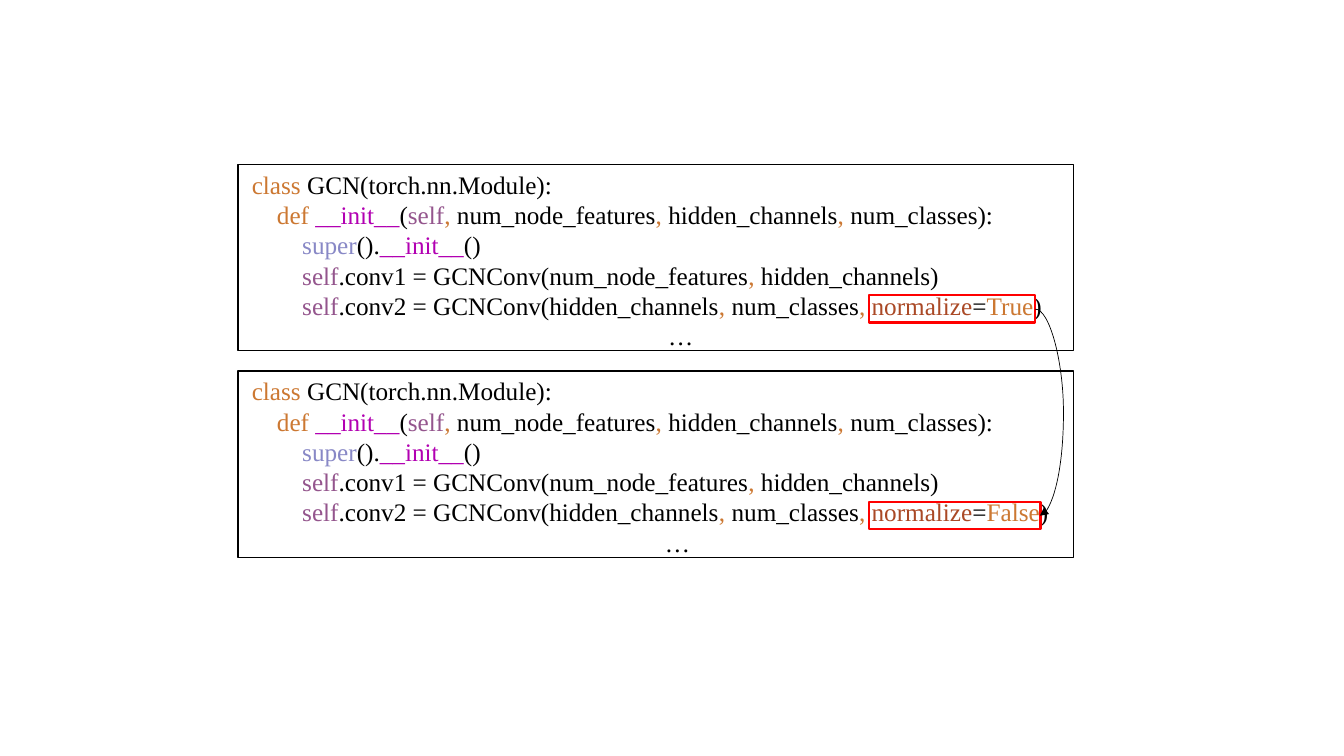
import lxml.etree
import pptx
import pptx.dml.color
import pptx.enum.shapes
import pptx.enum.text
import pptx.oxml.ns
import pptx.util

COLORS = {
    "black": "000000",
    "red": "FF0000",
    "keyword": "CC7832",
    "method": "B200B2",
    "self": "94558D",
    "builtin": "8888C6",
    "argument": "AA4926",
}
COLUMNS, ROWS = 160, 90
PANEL_TOP, PANEL_PITCH = 19.55, 24.6
COMMA = (", ", "keyword")
SELF = ("self", "self")
INIT = ("__init__", "method")
NODE_FEATURES = ("num_node_features", "black")


class CodeSlide:
    """Draw code panels on one slide, with lengths in grid columns and rows."""

    def __init__(self, presentation):
        self.font = "Times New Roman"
        self.size = pptx.util.Pt(18)
        self.indent = pptx.util.Inches(0.25)
        self.column = presentation.slide_width / COLUMNS
        self.row = presentation.slide_height / ROWS
        self.slide = presentation.slides.add_slide(presentation.slide_layouts[6])

    def place(self, left, top, width, height):
        return (round(left * self.column), round(top * self.row),
                round(width * self.column), round(height * self.row))

    def color(self, name):
        return pptx.dml.color.RGBColor.from_string(COLORS[name])

    def code(self, left, top, width, height, lines):
        frame = self.slide.shapes.add_textbox(*self.place(left, top, width, height)).text_frame
        frame.word_wrap = True
        for number, (level, runs) in enumerate(lines):
            paragraph = frame.add_paragraph() if number else frame.paragraphs[0]
            if level is None:
                paragraph.alignment = pptx.enum.text.PP_ALIGN.CENTER
            else:
                properties = paragraph._p.get_or_add_pPr()
                properties.set("marL", str(level * self.indent))
                properties.set("indent", "0")
            for text, color in runs:
                run = paragraph.add_run()
                run.text = text
                run.font.name = self.font
                run.font.size = self.size
                run.font.color.rgb = self.color(color)

    def outline(self, left, top, width, height, color, weight):
        shape = self.slide.shapes.add_shape(
            pptx.enum.shapes.MSO_SHAPE.RECTANGLE, *self.place(left, top, width, height))
        shape.shadow.inherit = False
        shape.fill.background()
        shape.line.color.rgb = self.color(color)
        shape.line.width = pptx.util.Pt(weight)

    def curved_arrow(self, start, end, bend, color, weight):
        connector = self.slide.shapes.add_connector(
            pptx.enum.shapes.MSO_CONNECTOR.CURVE, *self.place(*start, *end))
        connector.line.color.rgb = self.color(color)
        connector.line.width = pptx.util.Pt(weight)
        qn = pptx.oxml.ns.qn
        properties = connector._element.spPr
        guides = properties.find(qn("a:prstGeom")).get_or_add_avLst()
        lxml.etree.SubElement(guides, qn("a:gd"), name="adj1", fmla=f"val {round(bend * 100000)}")
        lxml.etree.SubElement(connector.line._get_or_add_ln(), qn("a:tailEnd"), type="triangle")
        lxml.etree.SubElement(properties, qn("a:effectLst"))


def gcn_lines(normalize):
    return [
        (0, [("class ", "keyword"), ("GCN(torch.nn.Module):", "black")]),
        (1, [("def ", "keyword"), INIT, ("(", "black"), SELF, COMMA, NODE_FEATURES, COMMA,
             ("hidden_channels", "black"), COMMA, ("num_classes):", "black")]),
        (2, [("super", "builtin"), ("().", "black"), INIT, ("()", "black")]),
        (2, [SELF, (".conv1 = GCNConv(", "black"), NODE_FEATURES, COMMA,
             ("hidden_channels)", "black")]),
        (2, [SELF, (".conv2 = GCNConv(hidden_channels", "black"), COMMA,
             ("num_classes", "black"), COMMA, ("normalize", "argument"), ("=", "black"),
             (normalize, "keyword"), (")", "black")]),
        (None, [("…", "black")]),
    ]


def main():
    presentation = pptx.Presentation()
    presentation.slide_width = pptx.util.Inches(13.33)
    presentation.slide_height = pptx.util.Inches(7.5)
    code_slide = CodeSlide(presentation)
    panels = [("True", 104.5, 19.8), ("False", 103.7, 20.4)]
    for index, (normalize, text_width, highlight_width) in enumerate(panels):
        top = PANEL_TOP + index * PANEL_PITCH
        code_slide.code(28.8, top, text_width, 23, gcn_lines(normalize))
        code_slide.outline(103.45, top + 15.6, highlight_width, 3.25, "red", 1.75)
        code_slide.outline(28.33, top, 99.5, 22.2, "black", 1)
    code_slide.curved_arrow((123.25, 36.8), (123.8, 61.4), 6.13, "black", 0.5)
    presentation.save("out.pptx")


if __name__ == "__main__":
    main()
